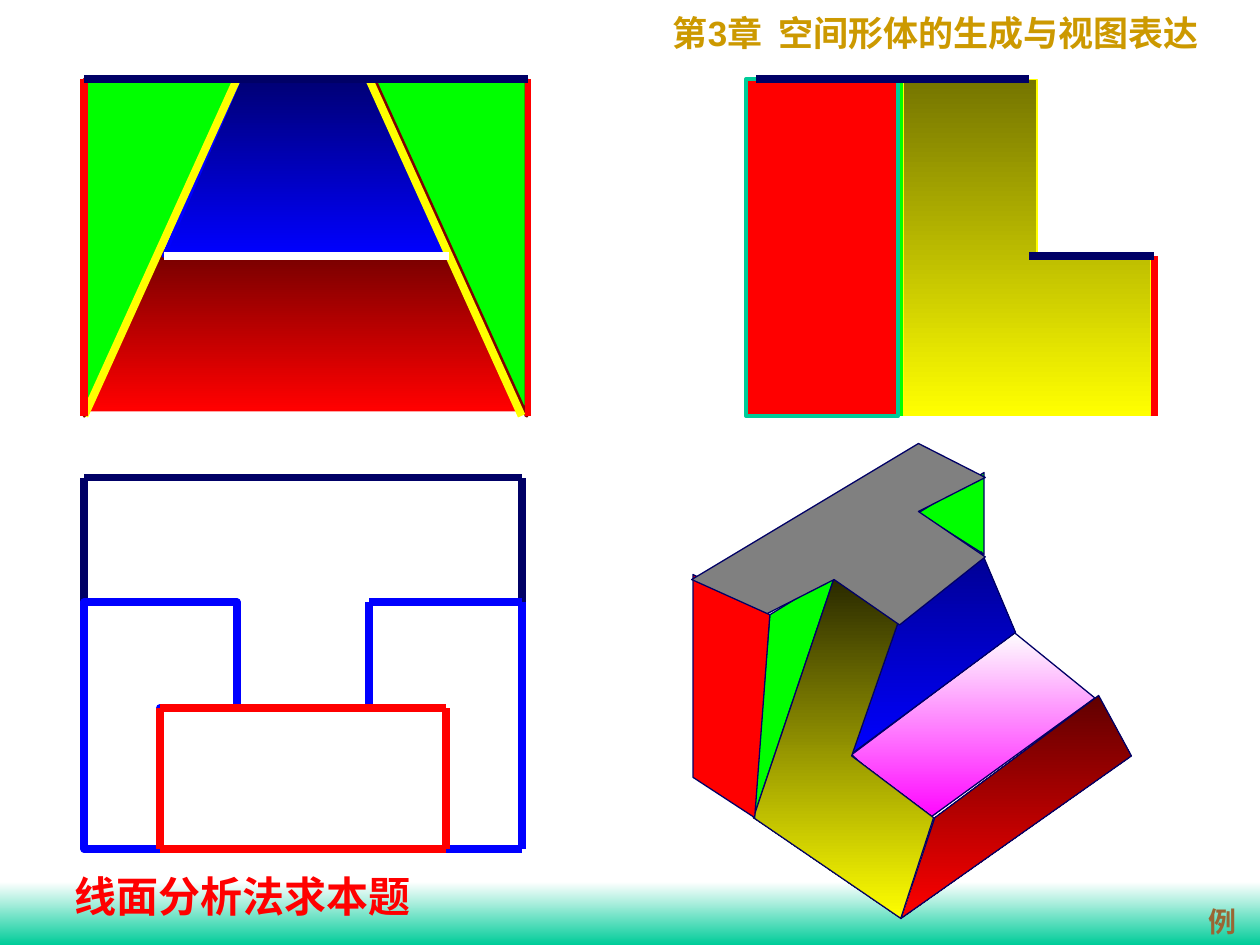
from itertools import pairwise

from lxml.etree import SubElement
from pptx import Presentation
from pptx.dml.color import RGBColor
from pptx.enum.shapes import MSO_CONNECTOR, MSO_SHAPE
from pptx.enum.text import MSO_ANCHOR, MSO_AUTO_SIZE, PP_ALIGN
from pptx.oxml.ns import qn
from pptx.util import Inches, Pt

WHITE = RGBColor(0xFF, 0xFF, 0xFF)
NEAR_WHITE = RGBColor(0xFE, 0xFE, 0xFE)
TEAL = RGBColor(0x00, 0xCC, 0x99)
GOLD = RGBColor(0xCC, 0x99, 0x00)
BROWN = RGBColor(0x99, 0x66, 0x33)
RED = RGBColor(0xFF, 0x00, 0x00)
DARK_RED = RGBColor(0x75, 0x00, 0x00)
DEEP_RED = RGBColor(0x60, 0x00, 0x00)
MAROON = RGBColor(0x80, 0x00, 0x00)
GREEN = RGBColor(0x00, 0xFF, 0x00)
BLUE = RGBColor(0x00, 0x00, 0xFF)
DARK_BLUE = RGBColor(0x00, 0x00, 0x75)
MID_BLUE = RGBColor(0x00, 0x00, 0x93)
NAVY = RGBColor(0x00, 0x00, 0x66)
YELLOW = RGBColor(0xFF, 0xFF, 0x00)
OLIVE = RGBColor(0x75, 0x75, 0x00)
DARK_OLIVE = RGBColor(0x26, 0x26, 0x00)
MAGENTA = RGBColor(0xFF, 0x00, 0xFF)
GRAY = RGBColor(0x80, 0x80, 0x80)

TITLE_RUNS = [("第", "Times New Roman"), ("3", "Arial"),
              ("章  空间形体的生成与视图表达", "Times New Roman")]
LABELS = [
    ("例", (9.49, 7.13, 0.42, 0.37), 16, BROWN, False),
    ("线面分析法求本题", (0, 6.86, 3.85, 0.5), 24, RED, True),
]

# Faces: points, fill colours, outline colour, outline width
# Edges: points, colour, width
FRONT_AND_SIDE_VIEWS = [
    ([(1.27, 1.99), (0.67, 3.25), (4.14, 3.25), (3.54, 1.99)], (DARK_RED, RED), RED, 2.25),
    ([(9.16, 2.03), (9.16, 3.3)], RED, 4.5),
    ([(1.9, 0.63), (1.3, 2.03), (3.57, 2.03), (2.96, 0.63)], (DARK_BLUE, BLUE), BLUE, 2.25),
    ([(8.13, 0.63), (8.13, 2.03)], BLUE, 4.5),
    ([(1.88, 0.63), (0.67, 0.63), (0.67, 3.3)], (GREEN,), MAROON, 2.25),
    ([(2.97, 0.63), (4.18, 0.63), (4.18, 3.3)], (GREEN,), MAROON, 2.25),
    ([(7.16, 0.63), (7.16, 3.3)], GREEN, 6),
    ([(7.17, 0.63), (8.23, 0.63), (8.23, 2.03), (9.13, 2.03), (9.13, 3.3), (7.17, 3.3)],
     (OLIVE, YELLOW), YELLOW, 0.75),
    ([(1.88, 0.63), (0.67, 3.3)], YELLOW, 4.5),
    ([(2.93, 0.63), (4.14, 3.3)], YELLOW, 4.5),
    ([(5.92, 0.63), (5.92, 3.3), (7.13, 3.3), (7.13, 0.63)], (RED,), TEAL, 2.25),
    ([(0.67, 0.63), (0.67, 3.3)], RED, 4.5),
    ([(4.19, 0.63), (4.19, 3.3)], RED, 3),
]
SOLID_FACES = [
    ([(7.81, 3.75), (7.81, 4.4), (7.29, 4.07)], (GREEN,)),
    ([(6.11, 4.88), (6.63, 4.56), (5.98, 6.49)], (GREEN,)),
    ([(6.76, 5.99), (8.05, 5.02), (8.69, 5.54), (7.34, 6.52)], (NEAR_WHITE, MAGENTA)),
    ([(7.79, 4.38), (7.01, 5.02), (6.75, 5.99), (8.06, 5.02)], (MID_BLUE, BLUE)),
    ([(7.42, 6.49), (7.15, 7.29), (8.98, 6), (8.72, 5.52)], (DEEP_RED, RED)),
    ([(6.63, 4.56), (7.15, 4.88), (6.76, 6), (7.41, 6.49), (7.15, 7.29), (5.98, 6.49)],
     (DARK_OLIVE, YELLOW)),
    ([(6.11, 4.88), (5.5, 4.56), (5.5, 6.17), (5.99, 6.49)], (RED,)),
    ([(6.09, 4.87), (6.62, 4.6), (7.14, 4.96), (7.82, 4.42), (7.29, 4.06), (7.82, 3.79),
      (7.29, 3.52), (5.49, 4.6)], (GRAY,)),
]
HORIZONTAL_EDGES = [
    ([(0.67, 0.63), (4.19, 0.63)], NAVY, 4.5),
    ([(6, 0.63), (8.17, 0.63)], NAVY, 4.5),
    ([(1.3, 2.03), (3.56, 2.03)], WHITE, 4.5),
    ([(8.17, 2.03), (9.16, 2.03)], NAVY, 4.5),
]
TOP_VIEW = [
    ([(0.67, 3.79), (0.67, 6.74), (4.14, 6.74), (4.14, 3.79), (0.67, 3.79)], NAVY, 4.5),
    ([(2.93, 5.62), (2.93, 4.78), (4.14, 4.78), (4.14, 6.74), (3.54, 6.74)], BLUE, 4.5),
    ([(1.88, 5.62), (1.27, 5.62), (1.27, 6.74), (0.67, 6.74), (0.67, 4.78), (1.88, 4.78)],
     (), BLUE, 4.5),
    ([(1.27, 6.74), (1.27, 5.62), (3.54, 5.62), (3.54, 6.74), (1.27, 6.74)], RED, 4.5),
]


def paint(shape, colors):
    shape.shadow.inherit = False
    if len(colors) == 2:
        shape.fill.gradient()
        shape.fill.gradient_angle = 270
        for stop, color in zip(shape.fill.gradient_stops, colors):
            stop.color.rgb = color
    elif colors:
        shape.fill.solid()
        shape.fill.fore_color.rgb = colors[0]
    else:
        shape.fill.background()


def draw_face(shapes, points, colors, line_color, width):
    corners = [(Inches(x), Inches(y)) for x, y in points]
    builder = shapes.build_freeform(*corners[0])
    builder.add_line_segments(corners[1:], close=True)
    face = builder.convert_to_shape()
    paint(face, colors)
    face.line.color.rgb = line_color
    face.line.width = Pt(width)


def draw_edges(shapes, points, color, width):
    for start, end in pairwise(points):
        edge = shapes.add_connector(MSO_CONNECTOR.STRAIGHT, *map(Inches, start + end))
        edge.line.color.rgb = color
        edge.line.width = Pt(width)
        SubElement(edge._element.spPr, qn("a:effectLst"))


def draw_all(shapes, items):
    for item in items:
        draw = draw_face if len(item) == 4 else draw_edges
        draw(shapes, *item)


def place(shape, box):
    shape.left, shape.top, shape.width, shape.height = map(Inches, box)


def add_title(slide):
    title = slide.shapes.title
    place(title, (5.24, 0.04, 4.49, 0.77))
    frame = title.text_frame
    frame.word_wrap = True
    frame.auto_size = MSO_AUTO_SIZE.NONE
    frame.vertical_anchor = MSO_ANCHOR.TOP
    paragraph = frame.paragraphs[0]
    paragraph.alignment = PP_ALIGN.LEFT
    for text, font_name in TITLE_RUNS:
        run = paragraph.add_run()
        run.text = text
        run.font.name = font_name
        run.font.size = Pt(20)
        run.font.bold = True
        run.font.color.rgb = GOLD


def add_label(slide, text, box, size, color, wrap):
    label = slide.shapes.add_textbox(*map(Inches, box))
    label.text_frame.word_wrap = wrap
    paragraph = label.text_frame.paragraphs[0]
    paragraph.text = text
    paragraph.alignment = PP_ALIGN.CENTER
    paragraph.font.name = "Times New Roman"
    paragraph.font.size = Pt(size)
    paragraph.font.bold = True
    paragraph.font.color.rgb = color


def main():
    presentation = Presentation()
    presentation.slide_width, presentation.slide_height = Inches(10), Inches(7.5)
    slide = presentation.slides.add_slide(presentation.slide_layouts[5])
    band = slide.shapes.add_shape(MSO_SHAPE.RECTANGLE, *map(Inches, (0, 7, 10, 0.5)))
    paint(band, (WHITE, TEAL))
    band.line.fill.background()
    add_title(slide)
    draw_all(slide.shapes, FRONT_AND_SIDE_VIEWS)
    draw_all(slide.shapes, [(*face, NAVY, 0.75) for face in SOLID_FACES])
    draw_all(slide.shapes, HORIZONTAL_EDGES)
    draw_all(slide.shapes.add_group_shape().shapes, TOP_VIEW)
    for label in LABELS:
        add_label(slide, *label)
    presentation.save("out.pptx")


if __name__ == "__main__":
    main()
